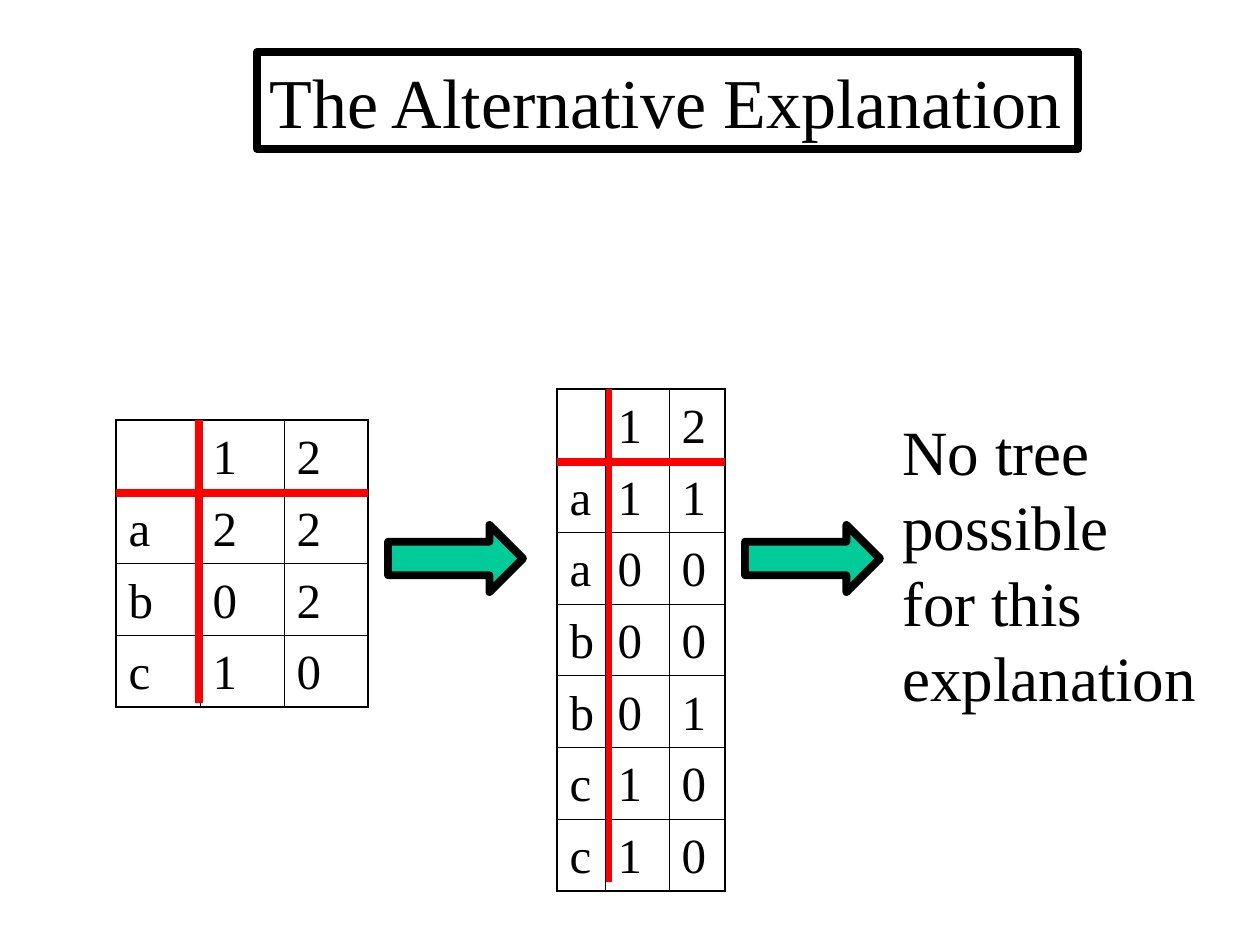
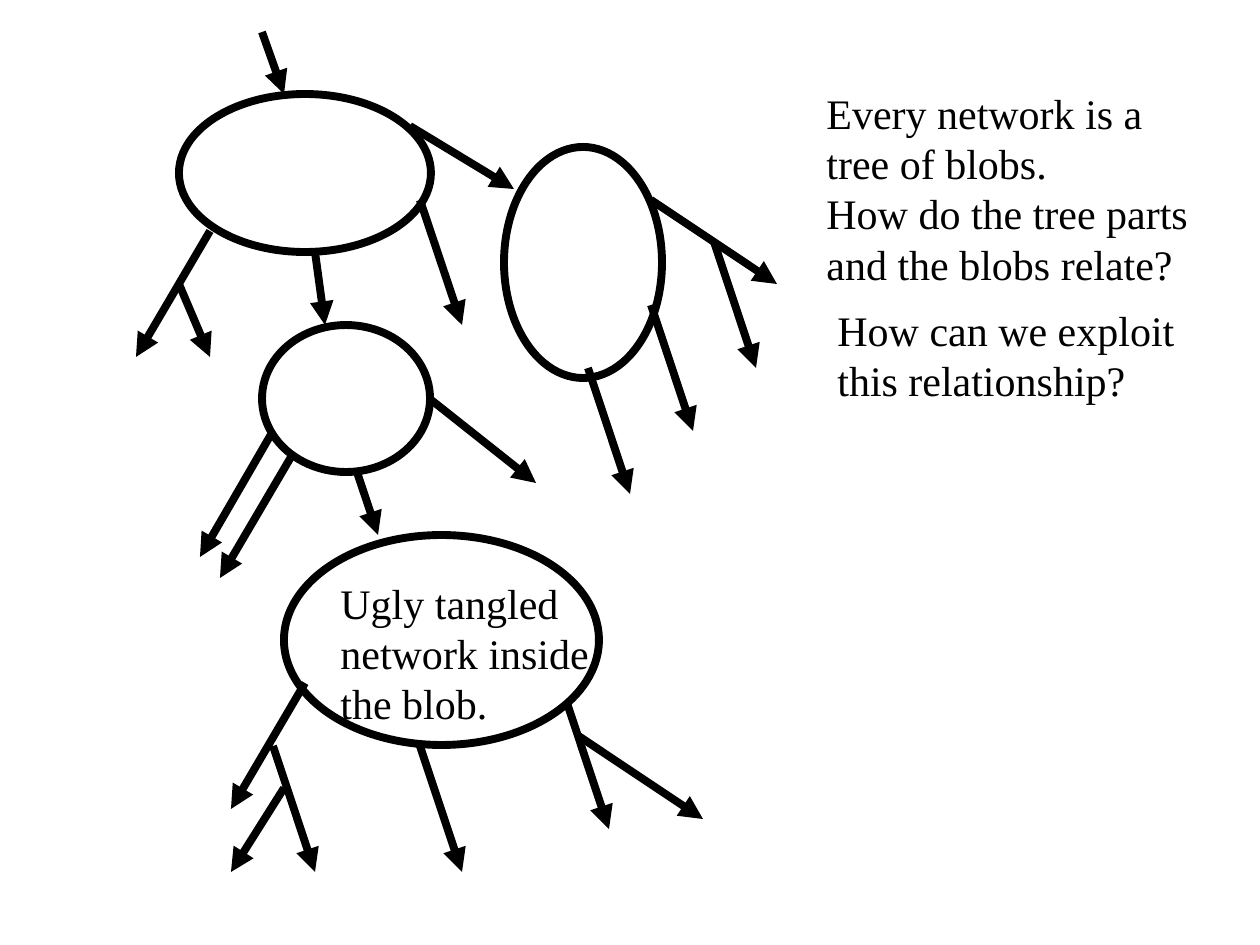
from dataclasses import dataclass

from lxml import etree
from pptx import Presentation
from pptx.dml.color import RGBColor
from pptx.enum.shapes import MSO_CONNECTOR, MSO_SHAPE
from pptx.enum.text import MSO_ANCHOR, MSO_AUTO_SIZE, PP_ALIGN
from pptx.oxml.ns import qn
from pptx.util import Emu, Pt

STRAIGHT = MSO_CONNECTOR.STRAIGHT
ELLIPSE, RIGHT_ARROW = MSO_SHAPE.OVAL, MSO_SHAPE.RIGHT_ARROW
TOP, LEFT, NO_FIT = MSO_ANCHOR.TOP, PP_ALIGN.LEFT, MSO_AUTO_SIZE.NONE

# Shared style
COLORS = {"ink": "000000", "rule": "FF0000", "arrow": "00CC99"}
FONT = "Times New Roman"
LEADING = 1.2
HEAVY, MEDIUM = 4.5, 3
OUTER, INNER = 1.08, 0.45
EMU_PER_PX = 914400 / 126


def px(n: float) -> Emu:
    return Emu(round(n * EMU_PER_PX))


def rgb(name: str) -> RGBColor:
    return RGBColor.from_string(COLORS[name])


@dataclass
class Box:
    x: int
    y: int
    w: int
    h: int

    def emu(self) -> tuple:
        return px(self.x), px(self.y), px(self.w), px(self.h)


@dataclass
class Line:
    x1: int
    y1: int
    x2: int
    y2: int
    color: str = "ink"
    width: float = HEAVY
    head: bool = False


@dataclass
class Matrix:
    x: int
    y: int
    h: int
    cols: tuple
    rows: tuple


@dataclass
class Note:
    box: Box
    lines: tuple
    size: int = 24


def write(tf, *lines: str, size: int = 24, color: str = "ink") -> None:
    """Fill a text frame with one paragraph per line."""
    for i, line in enumerate(lines):
        p = tf.paragraphs[0] if i == 0 else tf.add_paragraph()
        p.alignment = LEFT
        p.line_spacing = Pt(size * LEADING)
        p.space_before = Pt(0)
        r = p.add_run()
        r.text = line
        r.font.name, r.font.size = FONT, Pt(size)
        r.font.color.rgb = rgb(color)


def set_frame(tf) -> None:
    tf.auto_size = NO_FIT
    tf.word_wrap = False
    tf.vertical_anchor = TOP


def outline(line, color: str = "ink", width: float = HEAVY) -> None:
    line.color.rgb = rgb(color)
    line.width = Pt(width)


def add_title(slide, box: Box, text: str) -> None:
    sp = slide.shapes.title
    sp.left, sp.top, sp.width, sp.height = box.emu()
    outline(sp.line)
    set_frame(sp.text_frame)
    write(sp.text_frame, text, size=40)


def add_note(slide, note: Note) -> None:
    tf = slide.shapes.add_textbox(*note.box.emu()).text_frame
    set_frame(tf)
    write(tf, *note.lines, size=note.size)


def add_outlined(slide, kind, box: Box, fill: str = "") -> None:
    sp = slide.shapes.add_shape(kind, *box.emu())
    sp.shadow.inherit = False
    if fill:
        sp.fill.solid()
        sp.fill.fore_color.rgb = rgb(fill)
    else:
        sp.fill.background()
    outline(sp.line)


def add_line(slide, ln: Line) -> None:
    c = slide.shapes.add_connector(
        STRAIGHT, px(ln.x1), px(ln.y1), px(ln.x2), px(ln.y2))
    outline(c.line, ln.color, ln.width)
    if ln.head:
        etree.SubElement(c.line._get_or_add_ln(), qn("a:tailEnd"), type="triangle")
    etree.SubElement(c._element.spPr, qn("a:effectLst"))


def add_borders(cell, edges: dict) -> None:
    """Draw the cell sides; edges tells which lie on the table's rim."""
    tc_pr = cell._tc.get_or_add_tcPr()
    for side, on_rim in edges.items():
        width = Pt(OUTER if on_rim else INNER)
        ln = etree.SubElement(tc_pr, qn(f"a:ln{side}"), w=str(width))
        fill = etree.SubElement(ln, qn("a:solidFill"))
        etree.SubElement(fill, qn("a:srgbClr"), val=COLORS["ink"])


def add_matrix(slide, m: Matrix) -> None:
    n_rows, n_cols = len(m.rows), len(m.cols)
    box = Box(m.x, m.y, sum(m.cols), m.h)
    table = slide.shapes.add_table(n_rows, n_cols, *box.emu()).table
    table.first_row = table.horz_banding = False
    for column, width in zip(table.columns, m.cols):
        column.width = px(width)
    for i, values in enumerate(m.rows):
        table.rows[i].height = px(m.h / n_rows)
        for j, value in enumerate(values):
            cell = table.cell(i, j)
            add_borders(cell, {"L": j == 0, "R": j == n_cols - 1,
                               "T": i == 0, "B": i == n_rows - 1})
            cell.fill.background()
            if value.strip():
                write(cell.text_frame, value, size=28)


prs = Presentation()
prs.slide_width, prs.slide_height = px(1260), px(945)
TITLE_ONLY, BLANK = prs.slide_layouts[5], prs.slide_layouts[6]

# Slide 1: character matrices; each string is one row, one character per cell
s = prs.slides.add_slide(TITLE_ONLY)
add_title(s, Box(257, 52, 821, 97), "The Alternative Explanation")
add_matrix(s, Matrix(116, 420, 287, (84, 84, 84), (" 12", "a22", "b02", "c10")))
add_matrix(s, Matrix(557, 389, 502, (48, 64, 56),
                     (" 12", "a11", "a00", "b00", "b01", "c10", "c10")))
for rule in (
    Line(116, 493, 368, 493, "rule"),
    Line(199, 420, 199, 703, "rule"),
    Line(609, 389, 609, 882, "rule", MEDIUM),
    Line(557, 462, 725, 462, "rule"),
):
    add_line(s, rule)
for x in (388, 745):
    add_outlined(s, RIGHT_ARROW, Box(x, 525, 135, 67), "arrow")
add_note(s, Note(Box(890, 406, 319, 315),
                 ("No tree", "possible", "for this", "explanation"), 36))

# Slide 2: network of blobs
s = prs.slides.add_slide(BLANK)
BLOBS = (
    Box(179, 94, 252, 158),
    Box(284, 535, 315, 210),
    Box(262, 325, 168, 147),
    Box(504, 147, 158, 231),
)
EDGES = (
    # Root and top blob
    (262, 32, 284, 94), (315, 252, 325, 325), (210, 231, 136, 357),
    (179, 284, 210, 357), (420, 200, 462, 325), (410, 126, 514, 189),
    # Right blob
    (588, 368, 630, 494), (651, 200, 777, 284), (651, 305, 693, 431),
    (714, 242, 756, 368),
    # Middle blob
    (273, 431, 200, 557), (294, 452, 220, 578), (430, 399, 536, 483),
    (357, 472, 378, 535),
    # Bottom blob
    (305, 683, 231, 809), (273, 746, 315, 872), (284, 788, 231, 872),
    (420, 746, 462, 872), (567, 703, 609, 829), (577, 735, 703, 819),
)
NOTES = (
    Note(Box(328, 571, 273, 164), ("Ugly tangled", "network inside", "the blob.")),
    Note(Box(814, 81, 387, 214), ("Every network is a", "tree of blobs.",
                                  "How do the tree parts", "and the blobs relate?")),
    Note(Box(825, 298, 362, 113), ("How can we exploit", "this relationship?")),
)
for blob in BLOBS:
    add_outlined(s, ELLIPSE, blob)
for edge in EDGES:
    add_line(s, Line(*edge, head=True))
for note in NOTES:
    add_note(s, note)

prs.save("out.pptx")
